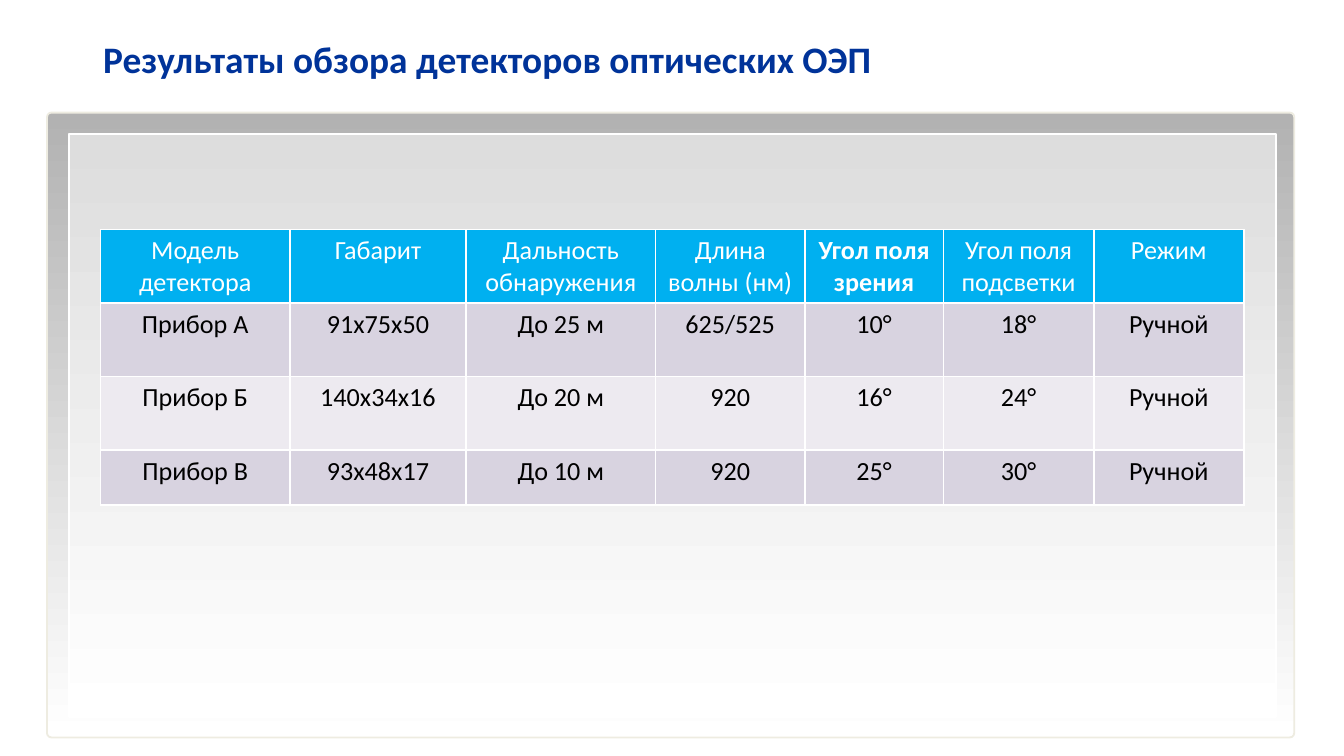
from dataclasses import dataclass

import lxml.etree
import pptx
import pptx.dml.color
import pptx.enum.shapes
import pptx.enum.text
import pptx.oxml.ns
import pptx.util
from pptx.util import Cm

FONT = "Calibri"
WHITE, BLACK, NAVY = "FFFFFF", "000000", "003399"
HEADER_FILL = "00B0F0"
BAND_FILLS = ("D8D3E0", "EDEAF0")


@dataclass
class Panel:
    kind: pptx.enum.shapes.MSO_SHAPE
    left: float
    top: float
    width: float
    height: float
    shade: str
    outline: str


@dataclass
class Column:
    heading: str
    width: float
    values: tuple[str, ...]
    bold_heading: bool = False


PANELS = (
    Panel(pptx.enum.shapes.MSO_SHAPE.ROUNDED_RECTANGLE, 0.89, 2.13, 23.57, 11.81, "B2B2B2", "EEECE1"),
    Panel(pptx.enum.shapes.MSO_SHAPE.RECTANGLE, 1.3, 2.54, 22.81, 11.02, "DDDDDD", WHITE),
)
COLUMNS = (
    Column("Модель детектора", 3.58, ("Прибор А", "Прибор Б", "Прибор В")),
    Column("Габарит", 3.33, ("91х75х50", "140х34х16", "93х48х17")),
    Column("Дальность обнаружения", 3.58, ("До 25 м", "До 20 м", "До 10 м")),
    Column("Длина волны (нм)", 2.82, ("625/525", "920", "920")),
    Column("Угол поля зрения", 2.62, ("10°", "16°", "25°"), bold_heading=True),
    Column("Угол поля подсветки", 2.84, ("18°", "24°", "30°")),
    Column("Режим", 2.84, ("Ручной",) * 3),
)
ROW_HEIGHTS = (1.39, 1.39, 1.39, 1.04)


def color(value: str) -> pptx.dml.color.RGBColor:
    return pptx.dml.color.RGBColor.from_string(value)


def style_font(paragraph, size: float, value: str, bold: bool) -> None:
    font = paragraph.font
    font.name, font.size, font.bold = FONT, pptx.util.Pt(size), bold
    font.color.rgb = color(value)


def draw_panel(slide, panel: Panel) -> None:
    shape = slide.shapes.add_shape(
        panel.kind, Cm(panel.left), Cm(panel.top), Cm(panel.width), Cm(panel.height))
    shape.shadow.inherit = False
    if len(shape.adjustments):
        shape.adjustments[0] = 0.007
    shape.fill.gradient()
    shape.fill.gradient_angle = 270
    for stop, value in zip(shape.fill.gradient_stops, (panel.shade, WHITE)):
        stop.color.rgb = color(value)
    shape.line.color.rgb = color(panel.outline)
    shape.line.width = pptx.util.Pt(1)


def draw_title(slide, text: str) -> None:
    frame = slide.shapes.add_textbox(Cm(1.7), Cm(0.36), Cm(22.43), Cm(1.6)).text_frame
    frame.word_wrap = True
    frame.vertical_anchor = pptx.enum.text.MSO_ANCHOR.MIDDLE
    paragraph = frame.paragraphs[0]
    paragraph.text = text
    paragraph.line_spacing = 0.9
    style_font(paragraph, 20, NAVY, True)


def add_borders(cell, value: str) -> None:
    qn = pptx.oxml.ns.qn
    properties = cell._tc.get_or_add_tcPr()
    for side in ("a:lnL", "a:lnR", "a:lnT", "a:lnB"):
        line = lxml.etree.SubElement(properties, qn(side), w=str(pptx.util.Pt(1)))
        fill = lxml.etree.SubElement(line, qn("a:solidFill"))
        lxml.etree.SubElement(fill, qn("a:srgbClr"), val=value)


def draw_cell(cell, text: str, fill: str, text_color: str, bold: bool = False) -> None:
    add_borders(cell, WHITE)
    cell.fill.solid()
    cell.fill.fore_color.rgb = color(fill)
    cell.margin_left = cell.margin_right = Cm(0.18)
    cell.margin_top = cell.margin_bottom = Cm(0.1)
    paragraph = cell.text_frame.paragraphs[0]
    paragraph.text = text
    paragraph.alignment = pptx.enum.text.PP_ALIGN.CENTER
    style_font(paragraph, 14, text_color, bold)


def draw_table(slide, columns: tuple[Column, ...]) -> None:
    width = sum(column.width for column in columns)
    table = slide.shapes.add_table(
        len(ROW_HEIGHTS), len(columns), Cm(1.9), Cm(4.34), Cm(width), Cm(sum(ROW_HEIGHTS))).table
    for row, height in zip(table.rows, ROW_HEIGHTS):
        row.height = Cm(height)
    for index, column in enumerate(columns):
        table.columns[index].width = Cm(column.width)
        draw_cell(table.cell(0, index), column.heading, HEADER_FILL, WHITE, column.bold_heading)
        for row, value in enumerate(column.values):
            draw_cell(table.cell(row + 1, index), value, BAND_FILLS[row % 2], BLACK)


def main() -> None:
    presentation = pptx.Presentation()
    presentation.slide_width, presentation.slide_height = Cm(25.4), Cm(14.29)
    slide = presentation.slides.add_slide(presentation.slide_layouts[6])

    # Framed background
    for panel in PANELS:
        draw_panel(slide, panel)

    # Title and detector comparison
    draw_title(slide, "Результаты обзора детекторов оптических ОЭП")
    draw_table(slide, COLUMNS)

    presentation.save("out.pptx")


if __name__ == "__main__":
    main()
